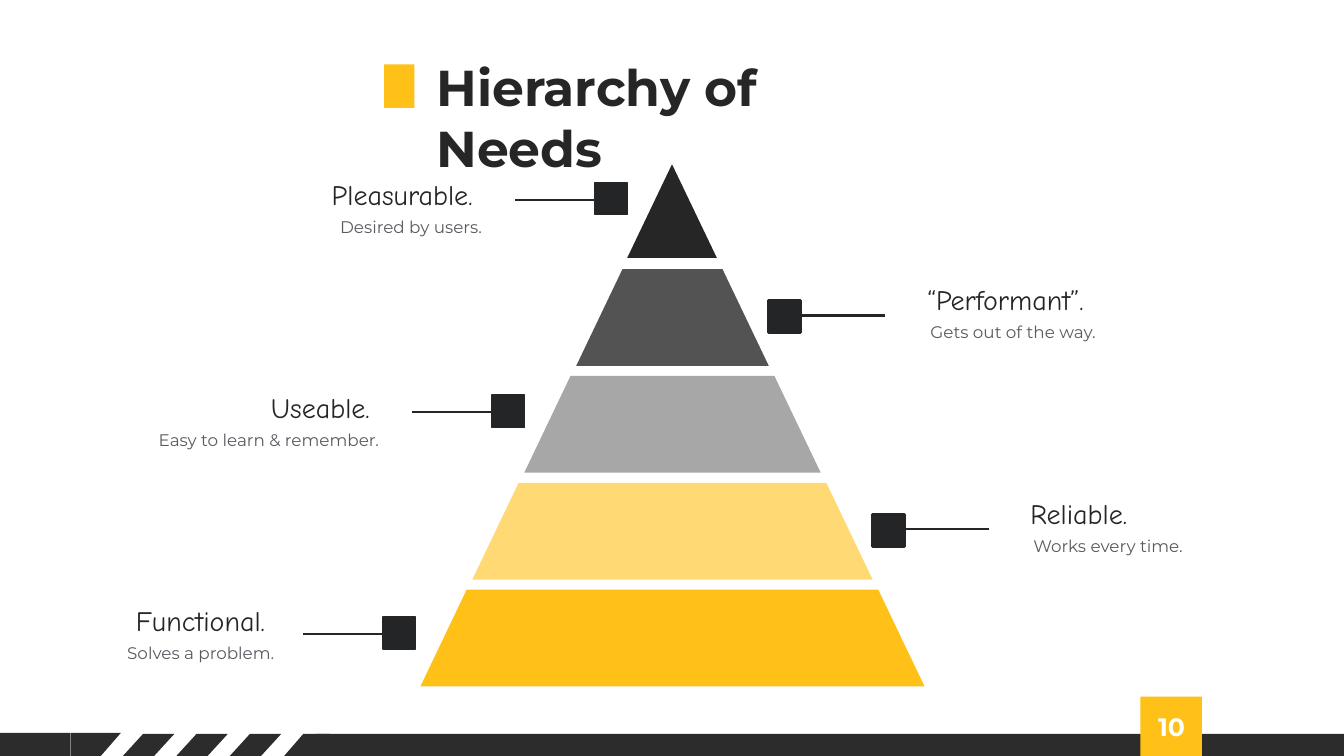
from lxml.etree import SubElement
from pptx import Presentation
from pptx.dml.color import RGBColor
from pptx.enum.shapes import MSO_CONNECTOR, MSO_SHAPE
from pptx.enum.text import MSO_AUTO_SIZE, PP_ALIGN
from pptx.oxml.ns import qn
from pptx.util import Inches, Pt

COLORS = {
    "bar": "2C2C2C",
    "accent": "FFC017",
    "light": "FFD974",
    "silver": "A7A7A7",
    "gray": "535353",
    "dark": "262626",
    "ink": "242527",
    "detail": "585B60",
    "white": "FFFFFF",
}


class SlideBuilder:
    heading_font = "Montserrat"
    label_font = "Comic Neue"

    def __init__(self, prs):
        self.slide = prs.slides.add_slide(prs.slide_layouts[6])

    def color(self, name):
        return RGBColor.from_string(COLORS[name])

    def paint(self, sp, fill, border=None):
        sp.shadow.inherit = False
        sp.fill.solid()
        sp.fill.fore_color.rgb = self.color(fill)
        if border:
            sp.line.color.rgb = self.color(fill)
            sp.line.width = Pt(border)
        else:
            sp.line.fill.background()

    def shape(self, kind, x, y, w, h, fill, border=None):
        sp = self.slide.shapes.add_shape(kind, Inches(x), Inches(y), Inches(w), Inches(h))
        self.paint(sp, fill, border)
        return sp

    def polygon(self, points, fill):
        points = [(Inches(x), Inches(y)) for x, y in points]
        builder = self.slide.shapes.build_freeform(*points[0])
        builder.add_line_segments(points[1:], close=True)
        self.paint(builder.convert_to_shape(), fill)

    def line(self, x1, x2, y):
        cn = self.slide.shapes.add_connector(
            MSO_CONNECTOR.STRAIGHT, Inches(x1), Inches(y), Inches(x2), Inches(y))
        cn.line.color.rgb = self.color("ink")
        cn.line.width = Pt(1.5)
        SubElement(cn.element.spPr, qn("a:effectLst"))

    def text(self, text, x, y, w, h, size, font, color,
             align=PP_ALIGN.LEFT, bold=False, spacing=None):
        box = self.slide.shapes.add_textbox(Inches(x), Inches(y), Inches(w), Inches(h))
        tf = box.text_frame
        tf.word_wrap = True
        tf.auto_size = MSO_AUTO_SIZE.NONE
        p = tf.paragraphs[0]
        p.text = text
        p.alignment = align
        if spacing:
            p.line_spacing = spacing
        p.font.size = Pt(size)
        p.font.name = font
        p.font.bold = bold
        p.font.color.rgb = self.color(color)

    def callout(self, label, detail, x, y, marker_x, marker_y, on_left):
        align = PP_ALIGN.RIGHT if on_left else PP_ALIGN.LEFT
        self.text(detail, x + 0.03, y + 0.29, 2.45, 0.37, 12,
                  self.heading_font, "detail", align, spacing=1.5)
        self.text(label, x, y, 2.48, 0.44, 20, self.label_font, "ink", align)
        if on_left:
            self.line(marker_x - 0.79, marker_x, marker_y + 0.17)
        else:
            self.line(marker_x + 1.16, marker_x + 0.32, marker_y + 0.15)
        self.shape(MSO_SHAPE.RECTANGLE, marker_x, marker_y, 0.32, 0.32,
                   "ink", 1 if on_left else 2.25)

    def footer(self, number):
        top, bottom = 7.28, 7.51
        self.polygon([(3.01, top), (3.27, top), (3.27, bottom), (2.81, bottom)], "bar")
        self.polygon([(0.7, 7.27), (1.2, 7.27), (1, 7.5), (0.7, 7.5)], "bar")
        for i in range(3):
            x = 1.21 + 0.53 * i
            self.polygon([(x + 0.21, top), (x + 0.52, top),
                          (x + 0.31, bottom), (x, bottom)], "bar")
        self.shape(MSO_SHAPE.RECTANGLE, 0, 7.27, 0.7, 0.23, "bar")
        self.shape(MSO_SHAPE.RECTANGLE, 3.13, 7.28, 10.2, 0.23, "bar")
        self.shape(MSO_SHAPE.RECTANGLE, 11.31, 6.91, 0.61, 0.61, "accent")
        self.text(number, 11.33, 7.01, 0.58, 0.4, 18, self.heading_font,
                  "white", PP_ALIGN.CENTER, bold=True)

    def title(self, text):
        self.text(text, 4.23, 0.51, 4.6, 1.3, 36, self.heading_font, "dark", bold=True)
        self.shape(MSO_SHAPE.RECTANGLE, 3.81, 0.64, 0.3, 0.43, "accent")

    def pyramid(self, tiers):
        center = 6.67
        self.shape(MSO_SHAPE.ISOSCELES_TRIANGLE, center - 0.45, 1.63, 0.89, 0.93, "dark")
        for i, fill in enumerate(tiers):
            w = 1.91 + 1.03 * i
            tier = self.shape(MSO_SHAPE.TRAPEZOID, center - w / 2, 2.67 + 1.06 * i, w, 0.96, fill)
            tier.adjustments[0] = 0.478


def main():
    prs = Presentation()
    prs.slide_width = Inches(13.33)
    prs.slide_height = Inches(7.5)

    s = SlideBuilder(prs)
    s.footer("10")
    s.title("Hierarchy of Needs")
    s.pyramid(["gray", "silver", "light", "accent"])
    callouts = [
        ("Pleasurable. ", "Desired by users.", 2.4, 1.71, 5.9, 1.81, True),
        ("“Performant”.", "Gets out of the way.", 9.1, 2.75, 7.62, 2.98, False),
        ("Useable. ", "Easy to learn & remember.", 1.38, 3.82, 4.88, 3.92, True),
        ("Reliable.", "Works every time.", 10.12, 4.88, 8.65, 5.1, False),
        ("Functional. ", "Solves a problem.", 0.34, 5.94, 3.8, 6.12, True),
    ]
    for callout in callouts:
        s.callout(*callout)

    prs.save("out.pptx")


if __name__ == "__main__":
    main()
